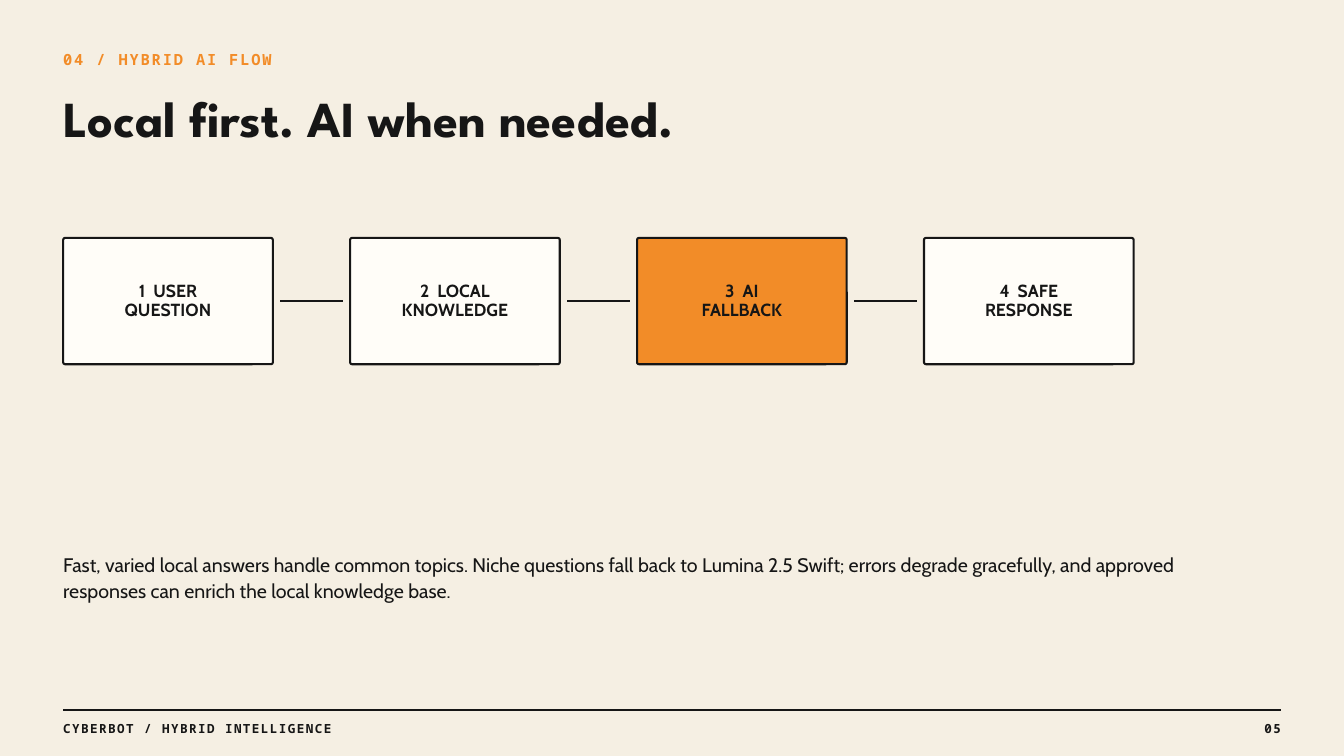
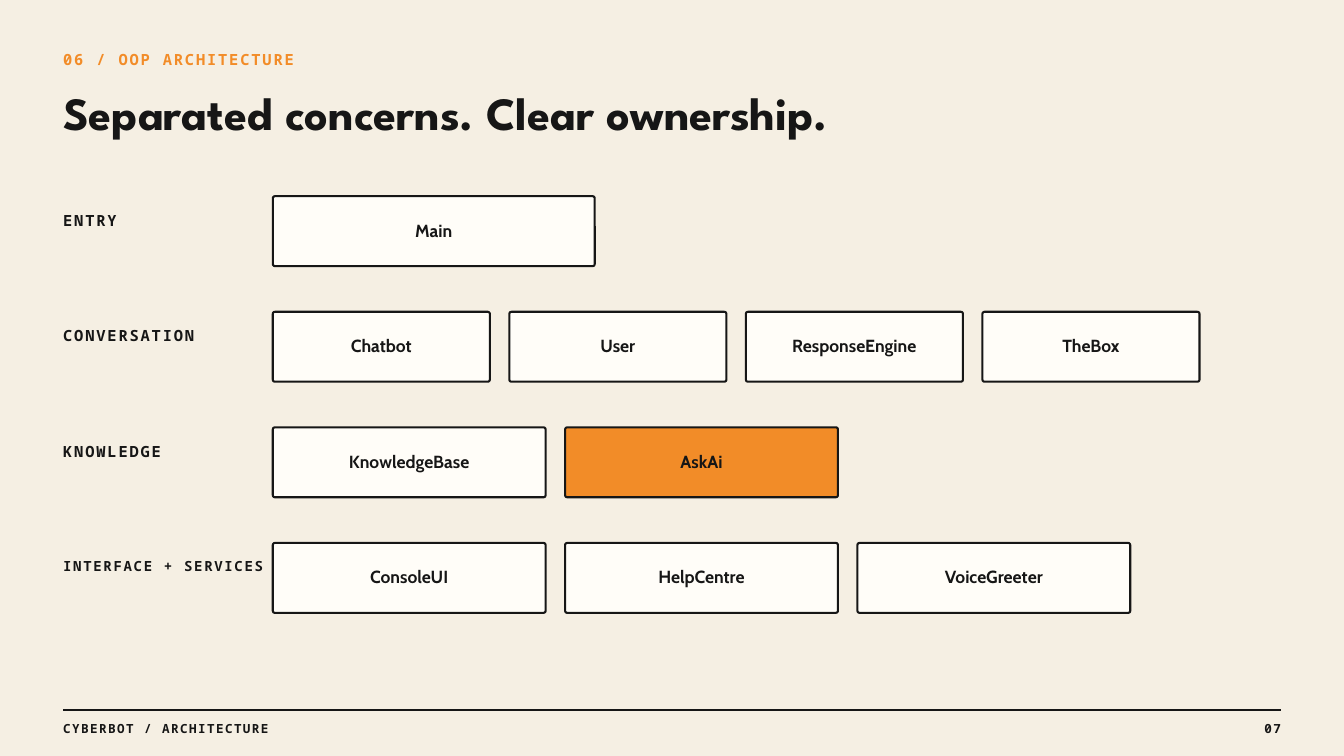
from dataclasses import dataclass

from lxml.etree import SubElement
from pptx import Presentation
from pptx.dml.color import RGBColor
from pptx.enum.shapes import MSO_CONNECTOR, MSO_SHAPE
from pptx.enum.text import MSO_ANCHOR, MSO_AUTO_SIZE, PP_ALIGN
from pptx.oxml.ns import qn
from pptx.util import Inches, Pt


@dataclass(frozen=True)
class TextStyle:
    font: str
    size: float
    leading: float
    color: RGBColor
    bold: bool = True
    tracking: float = 0


@dataclass(frozen=True)
class Theme:
    paper: RGBColor = RGBColor.from_string("F5EFE3")
    card: RGBColor = RGBColor.from_string("FFFDF8")
    ink: RGBColor = RGBColor.from_string("161616")
    accent: RGBColor = RGBColor.from_string("F28C28")
    display: str = "League Spartan"
    sans: str = "Cabin"
    mono: str = "Noto Sans Mono"
    left: float = 0.94
    right: float = 19.06
    radius: float = 0.03
    card_line: float = 2.25
    link_line: float = 3
    rule_line: float = 2

    def text(self, role):
        return {
            "eyebrow": TextStyle(self.mono, 16.5, 23.1, self.accent, tracking=2),
            "title": TextStyle(self.display, 54, 51.3, self.ink),
            "long_title": TextStyle(self.display, 49.5, 47, self.ink),
            "body": TextStyle(self.sans, 21, 27.3, self.ink, bold=False),
            "card": TextStyle(self.sans, 18.8, 20.6, self.ink),
            "label": TextStyle(self.mono, 16.5, 23.1, self.ink, tracking=2),
            "long_label": TextStyle(self.mono, 15, 21, self.ink, tracking=1.8),
            "footer": TextStyle(self.mono, 13.5, 18.9, self.ink, tracking=1.6),
        }[role]


def apply(target, values):
    for name, value in values.items():
        setattr(target, name, value)


class Deck:
    def __init__(self, theme):
        self.theme = theme
        self.prs = Presentation()
        apply(self.prs, {"slide_width": Inches(20), "slide_height": Inches(11.25)})
        fill = self.prs.slide_master.background.fill
        fill.solid()
        fill.fore_color.rgb = theme.paper
        self.s = None

    def start(self, layout, eyebrow, footer, number):
        t = self.theme
        self.s = self.prs.slides.add_slide(self.prs.slide_layouts.get_by_name(layout))
        self.text(eyebrow, "eyebrow", t.left, 0.7, 7.29, 0.3)
        self.line(t.left, t.right, 10.57, t.rule_line)
        self.text(footer, "footer", t.left, 10.69, 7.29, 0.24)
        self.text(number, "footer", t.right - 0.94, 10.69, 0.94, 0.24, PP_ALIGN.RIGHT)

    def fill_text(self, sp, text, role, align, anchor, inset, auto_size):
        style = self.theme.text(role)
        tf = sp.text_frame
        margin = Inches(inset)
        apply(tf, {
            "word_wrap": True, "auto_size": auto_size, "vertical_anchor": anchor,
            "margin_left": margin, "margin_top": margin,
            "margin_right": margin, "margin_bottom": margin,
        })
        for i, words in enumerate(text.split("\n")):
            p = tf.add_paragraph() if i else tf.paragraphs[0]
            if sp.is_placeholder:
                pPr = p._p.get_or_add_pPr()
                pPr.set("marL", "0")
                pPr.set("indent", "0")
                SubElement(pPr, qn("a:buNone"))
            apply(p, {"alignment": align, "line_spacing": Pt(style.leading),
                      "space_before": Pt(0)})
            r = p.add_run()
            r.text = words
            apply(r.font, {"name": style.font, "size": Pt(style.size), "bold": style.bold})
            r.font.color.rgb = style.color
            if style.tracking:
                r._r.get_or_add_rPr().set("spc", str(round(style.tracking * 100)))

    def block(self, sp, text, role, align=PP_ALIGN.LEFT):
        self.fill_text(sp, text, role, align, MSO_ANCHOR.TOP, 0,
                       MSO_AUTO_SIZE.SHAPE_TO_FIT_TEXT)

    def text(self, text, role, x, y, w, h, align=PP_ALIGN.LEFT):
        sp = self.s.shapes.add_textbox(Inches(x), Inches(y), Inches(w), Inches(h))
        self.block(sp, text, role, align)

    def placeholder(self, idx, text, role, y, w, h):
        sp = self.s.placeholders[idx]
        apply(sp, {"left": Inches(self.theme.left), "top": Inches(y),
                   "width": Inches(w), "height": Inches(h)})
        self.block(sp, text, role)

    def card(self, text, x, y, w, h, accent=False):
        t = self.theme
        sp = self.s.shapes.add_shape(MSO_SHAPE.ROUNDED_RECTANGLE,
                                     Inches(x), Inches(y), Inches(w), Inches(h))
        sp.adjustments[0] = t.radius / min(w, h)
        sp.shadow.inherit = False
        sp.fill.solid()
        sp.fill.fore_color.rgb = t.accent if accent else t.card
        sp.line.color.rgb = t.ink
        sp.line.width = Pt(t.card_line)
        self.fill_text(sp, text, "card", PP_ALIGN.CENTER, MSO_ANCHOR.MIDDLE, 0.06,
                       MSO_AUTO_SIZE.NONE)

    def line(self, x1, x2, y, width):
        cn = self.s.shapes.add_connector(MSO_CONNECTOR.STRAIGHT,
                                         Inches(x1), Inches(y), Inches(x2), Inches(y))
        cn.line.color.rgb = self.theme.ink
        cn.line.width = Pt(width)
        SubElement(cn._element.spPr, qn("a:effectLst"))


def flow_slide(deck):
    t = deck.theme
    deck.start("Title and Content", "04 / HYBRID AI FLOW",
               "CYBERBOT / HYBRID INTELLIGENCE", "05")
    deck.placeholder(0, "Local first. AI when needed.", "title", 1.49, 14.58, 0.76)
    steps = ["1  USER\nQUESTION", "2  LOCAL\nKNOWLEDGE", "3  AI\nFALLBACK",
             "4  SAFE\nRESPONSE"]
    top, width, height, pitch, gap = 3.54, 3.12, 1.88, 4.27, 0.11
    for i, step in enumerate(steps):
        x = t.left + i * pitch
        deck.card(step, x, top, width, height, accent="AI" in step.split())
        if i:
            deck.line(x - pitch + width + gap, x - gap, top + height / 2, t.link_line)
    deck.placeholder(1, "Fast, varied local answers handle common topics. Niche questions "
                     "fall back to Lumina 2.5 Swift; errors degrade gracefully, and approved "
                     "responses can enrich the local knowledge base.",
                     "body", 8.2, 17.5, 0.75)


def architecture_slide(deck):
    t = deck.theme
    deck.start("Title Only", "06 / OOP ARCHITECTURE", "CYBERBOT / ARCHITECTURE", "07")
    deck.placeholder(0, "Separated concerns. Clear ownership.", "long_title",
                     1.43, 15.62, 0.69)
    layers = [
        ("ENTRY", "label", 4.79, ["Main"]),
        ("CONVERSATION", "label", 3.23, ["Chatbot", "User", "ResponseEngine", "TheBox"]),
        ("KNOWLEDGE", "label", 4.06, ["KnowledgeBase", "AskAi"]),
        ("INTERFACE + SERVICES", "long_label", 4.06,
         ["ConsoleUI", "HelpCentre", "VoiceGreeter"]),
    ]
    left, top, height, pitch, gap = 4.06, 2.92, 1.04, 1.72, 0.29
    for row, (label, role, width, classes) in enumerate(layers):
        y = top + row * pitch
        deck.text(label, role, t.left, y + 0.17, left - t.left, 0.3)
        for col, name in enumerate(classes):
            deck.card(name, left + col * (width + gap), y, width, height,
                      accent=name == "AskAi")


def main():
    deck = Deck(Theme())
    flow_slide(deck)
    architecture_slide(deck)
    deck.prs.save("out.pptx")


if __name__ == "__main__":
    main()
